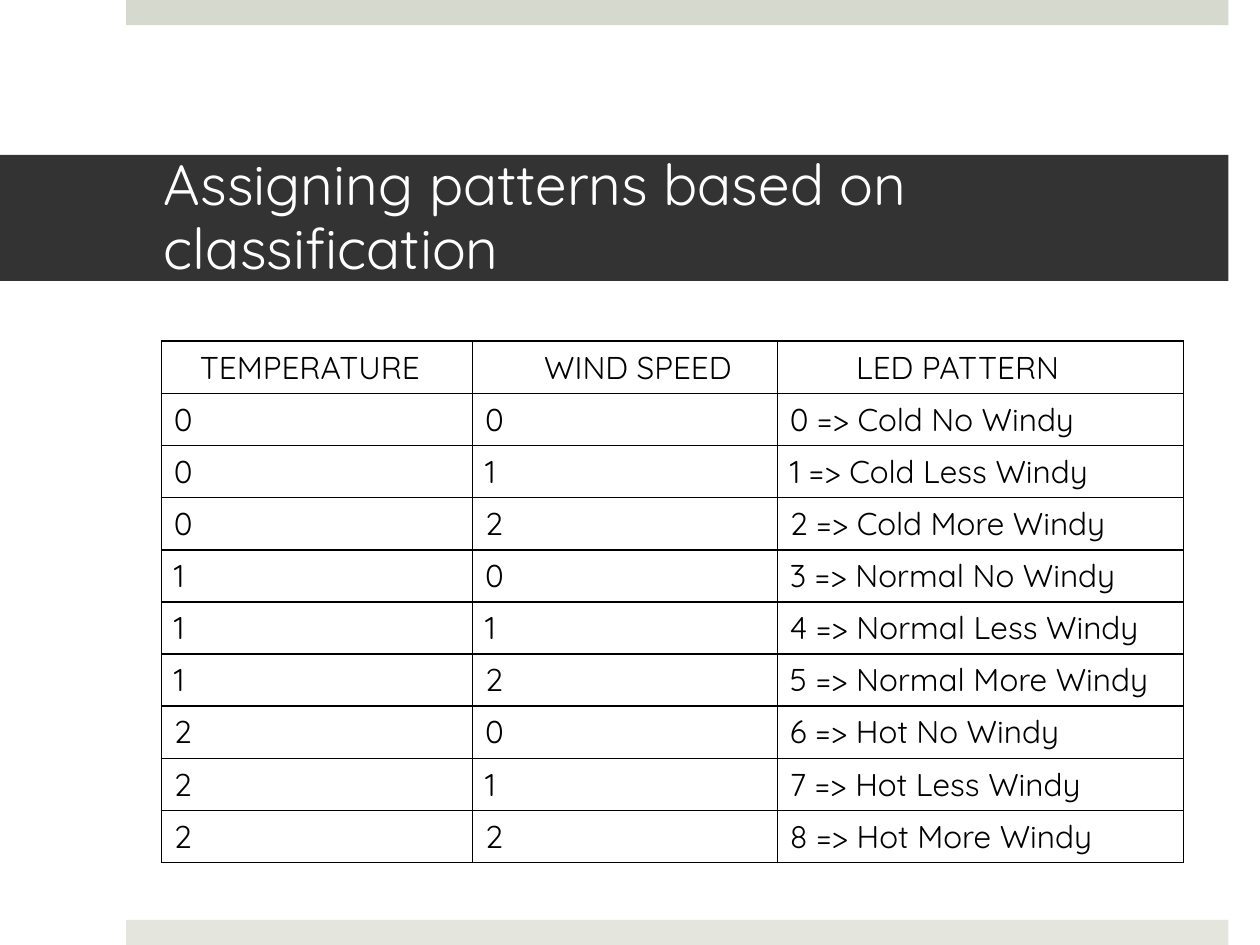
from lxml import etree
from pptx import Presentation
from pptx.dml.color import RGBColor
from pptx.enum.shapes import MSO_SHAPE
from pptx.enum.text import MSO_ANCHOR, PP_ALIGN
from pptx.oxml.ns import qn
from pptx.util import Pt

RECTANGLE = MSO_SHAPE.RECTANGLE
MIDDLE = MSO_ANCHOR.MIDDLE
LEFT = PP_ALIGN.LEFT

FONT = "Quicksand"
COLORS = {
    "top_bar": "D6D9CD",
    "bottom_bar": "E4E6DE",
    "title_band": "333333",
    "title_text": "FFFFFF",
    "table_text": "000000",
    "border": "000000",
}
COLUMN_WIDTHS = (177.8, 174.2, 232)
ROW_HEIGHT = 29.8
HEADINGS = ("TEMPERATURE", "WIND SPEED", "LED PATTERN")
HEADING_INDENTS = (22, 41, 45)
TEMPERATURES = ("Cold", "Normal", "Hot")
WINDS = ("No", "Less", "More")


def color(name):
    return RGBColor.from_string(COLORS[name])


def add_span(para, text, size, color_name):
    span = para.add_run()
    span.text = text
    span.font.name = FONT
    span.font.size = Pt(size)
    span.font.color.rgb = color(color_name)


def add_bar(page, left, top, width, height, color_name):
    bar = page.shapes.add_shape(
        RECTANGLE, Pt(left), Pt(top), Pt(width), Pt(height)
    )
    bar.shadow.inherit = False
    bar.fill.solid()
    bar.fill.fore_color.rgb = color(color_name)
    bar.line.fill.background()
    return bar


def add_title(page, text):
    band = add_bar(page, 0, 88.56, 702, 72, "title_band")
    frame = band.text_frame
    frame.word_wrap = True
    frame.vertical_anchor = MIDDLE
    frame.margin_left, frame.margin_right = Pt(93.6), Pt(21.6)
    frame.margin_top = frame.margin_bottom = Pt(3.6)
    para = frame.paragraphs[0]
    para.alignment = LEFT
    para.line_spacing = 0.95
    add_span(para, text, 32.4, "title_text")


def add_borders(cell):
    properties = cell._tc.get_or_add_tcPr()
    for position, side in enumerate(("a:lnL", "a:lnR", "a:lnT", "a:lnB")):
        line = etree.Element(qn(side), w=str(Pt(1)))
        fill = etree.SubElement(line, qn("a:solidFill"))
        etree.SubElement(fill, qn("a:srgbClr"), val=COLORS["border"])
        properties.insert(position, line)


def fill_cell(cell, text):
    cell.fill.background()
    add_borders(cell)
    add_span(cell.text_frame.paragraphs[0], text, 18, "table_text")


def pattern_rows():
    rows = [HEADINGS]
    for heat, temperature in enumerate(TEMPERATURES):
        for speed, wind in enumerate(WINDS):
            number = heat * len(WINDS) + speed
            label = f"{number} => {temperature} {wind} Windy"
            rows.append((str(heat), str(speed), label))
    return rows


def add_pattern_table(page, rows):
    table = page.shapes.add_table(
        len(rows), len(COLUMN_WIDTHS), Pt(92.2), Pt(195),
        Pt(sum(COLUMN_WIDTHS)), Pt(ROW_HEIGHT * len(rows)),
    ).table
    table.first_row = False
    table.horz_banding = False
    for column, width in zip(table.columns, COLUMN_WIDTHS):
        column.width = Pt(width)
    for row, texts in zip(table.rows, rows):
        row.height = Pt(ROW_HEIGHT)
        for cell, text in zip(row.cells, texts):
            fill_cell(cell, text)
    for cell, indent in zip(table.rows[0].cells, HEADING_INDENTS):
        cell.margin_left = Pt(indent)


def main():
    deck = Presentation()
    deck.slide_width, deck.slide_height = Pt(720), Pt(540)
    page = deck.slides.add_slide(deck.slide_layouts[6])
    add_bar(page, 72, 0, 630, 14.4, "top_bar")
    add_bar(page, 72, 525.6, 630, 14.4, "bottom_bar")
    add_title(page, "Assigning patterns based on classification")
    add_pattern_table(page, pattern_rows())
    deck.save("out.pptx")


if __name__ == "__main__":
    main()
